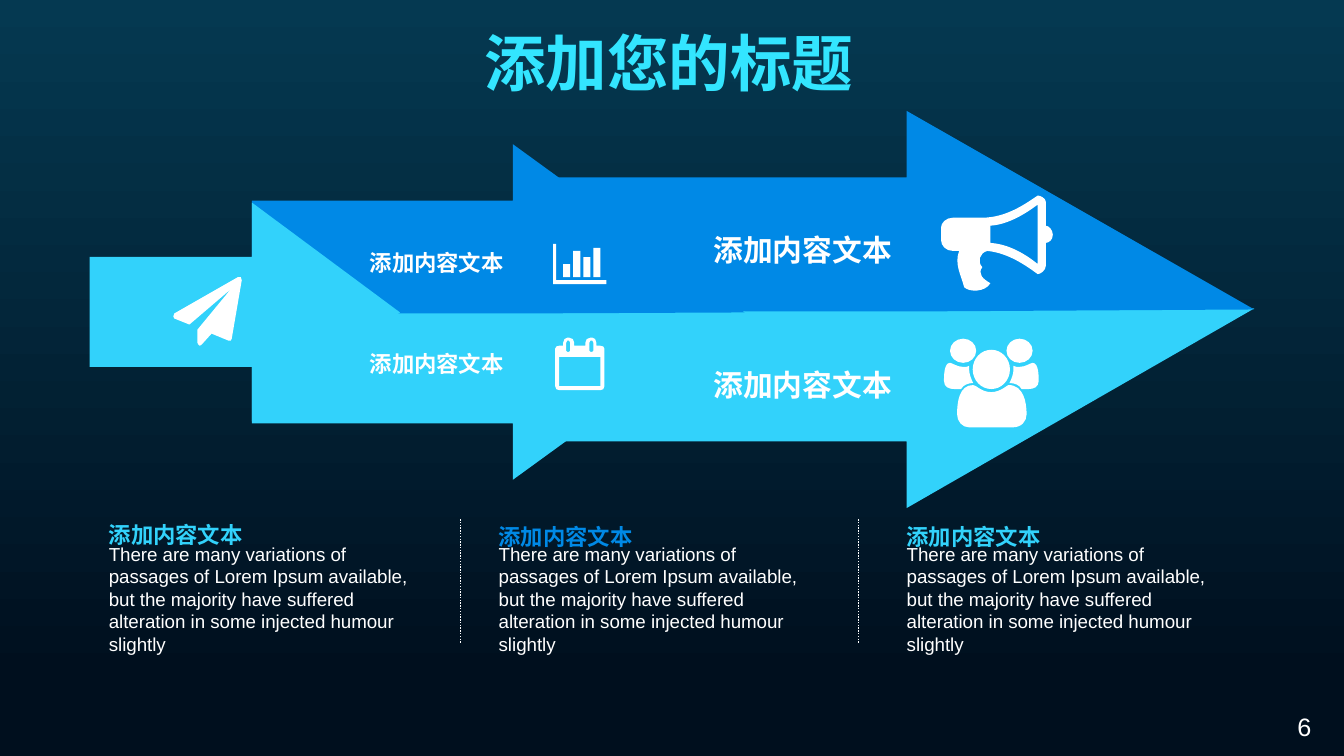
"""Build a one-slide deck with nested arrows, icons and three text columns."""
from dataclasses import dataclass

from lxml.etree import SubElement
from pptx import Presentation
from pptx.dml.color import RGBColor
from pptx.enum.dml import MSO_LINE
from pptx.enum.shapes import MSO_CONNECTOR
from pptx.enum.text import MSO_ANCHOR, MSO_AUTO_SIZE, PP_ALIGN
from pptx.oxml.ns import qn
from pptx.util import Inches, Pt


@dataclass(frozen=True)
class Theme:
    font: str = "Arial"
    top: str = "053951"
    bottom: str = "000F1E"
    title: str = "33E5FF"
    cyan: str = "32D2FB"
    blue: str = "0089E6"
    white: str = "FFFFFF"
    title_size: float = 44
    large_size: float = 21.33
    label_size: float = 16
    body_size: float = 13.33
    number_size: float = 18


THEME = Theme()
WIDTH, HEIGHT = 13.34, 7.5
TITLE, PAGE_NUMBER = "添加您的标题", "6"
LABEL = "添加内容文本"
BODY = ("There are many variations of passages of Lorem Ipsum available, "
        "but the majority have suffered alteration in some injected humour slightly")
COLUMNS = [(1.08, 5.17, THEME.cyan), (4.95, 5.19, THEME.blue), (9, 5.19, THEME.cyan)]
DIVIDERS = [4.57, 8.52]
ARROW_LABELS = [(3.67, 3.47, 1.36, 0.27, THEME.label_size),
                (3.67, 2.47, 1.36, 0.27, THEME.label_size),
                (7.08, 3.64, 1.8, 0.36, THEME.large_size),
                (7.08, 2.3, 1.8, 0.36, THEME.large_size)]

# tail, neck and tip columns; spine, body, wing and tip rows
HALF_ARROWS = [(5.11, 9, 12.45, 3.05, 4.38, 5.04, 3.06, THEME.cyan),
               (5.11, 9, 12.45, 3.09, 1.76, 1.1, 3.07, THEME.blue),
               (2.5, 5.09, 7.39, 3.07, 4.2, 4.76, 3.09, THEME.cyan),
               (2.5, 5.09, 7.39, 3.11, 1.99, 1.43, 3.1, THEME.blue)]
SMALL_ARROW = [(0.89, 2.55), (2.5, 2.55), (2.5, 2.01), (3.97, 3.1),
               (2.5, 4.18), (2.5, 3.64), (0.89, 3.64)]


def bar(left, top, right, bottom):
    return [(left, top), (right, top), (right, bottom), (left, bottom)]


def ellipse(x, y, radius_x, radius_y):
    bend_x, bend_y = 0.55 * radius_x, 0.55 * radius_y
    left, right, top, bottom = x - radius_x, x + radius_x, y - radius_y, y + radius_y
    return [(right, y), (right, y + bend_y, x + bend_x, bottom, x, bottom),
            (x - bend_x, bottom, left, y + bend_y, left, y),
            (left, y - bend_y, x - bend_x, top, x, top),
            (x + bend_x, top, right, y - bend_y, right, y)]


def mirror(outline, width):
    return [tuple(width - value if index % 2 == 0 else value
                  for index, value in enumerate(node)) for node in outline]


def ring_slot(left):
    return [(left + x, y) for x, y in
            [(4, 5), (3, 3), (1, 3), (0, 5), (0, 13), (1, 14), (3, 14), (4, 13)]]


PLANE = [[(68, 3), (58, 61), (58, 62, 57, 62, 57, 63), (55, 63), (38, 56), (28, 67),
          (28, 67, 27, 68, 26, 68), (25, 67, 24, 66, 24, 65), (24, 52), (57, 12),
          (16, 47), (1, 41), (0, 40, 0, 40, 0, 39), (0, 38, 0, 37, 1, 36),
          (64, 0), (67, 0), (68, 1, 68, 2, 68, 3)]]
CALENDAR = [[(49, 48), (49, 51, 47, 52, 45, 52), (4, 52), (2, 52, 0, 51, 0, 48), (0, 11),
             (0, 9, 2, 8, 4, 8), (8, 8), (8, 5), (8, 2, 10, 0, 12, 0), (14, 0),
             (17, 0, 19, 2, 19, 5), (19, 8), (30, 8), (30, 5), (30, 2, 32, 0, 35, 0),
             (37, 0), (39, 0, 41, 2, 41, 5), (41, 8), (45, 8), (47, 8, 49, 9, 49, 11)],
            bar(4, 19, 45, 48), ring_slot(11), ring_slot(34)]
CHART = [[(0, 0), (3, 0), (3, 36), (53, 36), (53, 40), (0, 40)]]
CHART += [bar(10 + 10 * index, top, 17 + 10 * index, 33)
          for index, top in enumerate([20, 7, 13, 4])]
MEGAPHONE = [[(111, 39), (111, 44, 107, 47, 104, 47), (104, 70), (104, 74, 99, 78, 96, 78),
              (85, 70, 67, 57, 46, 55), (38, 57, 36, 66, 41, 71), (36, 78, 42, 83, 49, 87),
              (44, 96, 28, 96, 23, 91), (20, 79, 13, 68, 18, 55), (12, 55),
              (5, 55, 0, 50, 0, 44), (0, 32), (0, 27, 5, 22, 12, 22), (41, 22),
              (64, 22, 83, 9, 96, 0), (99, 0, 104, 3, 104, 6), (104, 30),
              (107, 30, 111, 34, 111, 39)],
             [(96, 9), (80, 21, 64, 29, 49, 30), (49, 47), (64, 48, 80, 55, 96, 68)]]
SHOULDER = [(17, 50), (10, 50), (5, 50, 0, 48, 0, 42), (0, 37, 0, 24, 6, 24),
            (8, 24, 13, 28, 19, 28), (22, 28, 23, 28, 25, 27), (25, 28, 25, 29, 25, 31),
            (25, 35, 27, 40, 29, 44), (24, 44, 19, 46, 17, 50)]
CHEST = [(68, 88), (25, 88), (18, 88, 13, 82, 13, 75), (13, 63, 15, 46, 29, 46),
         (32, 46, 37, 53, 47, 53), (56, 53, 63, 46, 64, 46), (79, 46, 82, 63, 82, 75),
         (82, 82, 77, 88, 68, 88)]
PEOPLE = [SHOULDER, mirror(SHOULDER, 94), CHEST, ellipse(47, 30.5, 18.5, 19.5),
          ellipse(19, 12, 13, 12), ellipse(75, 12, 13, 12)]
ICONS = [(1.72, 2.75, PLANE), (5.51, 3.35, CALENDAR), (5.49, 2.42, CHART),
         (9.34, 1.94, MEGAPHONE), (9.37, 3.36, PEOPLE)]


def bend_curves(shape, outlines):
    path = next(shape._element.iter(qn("a:path")))
    steps = iter(list(path))
    for outline in outlines:
        for node in outline:
            step = next(steps)
            if len(node) == 6:
                curve = path.makeelement(qn("a:cubicBezTo"))
                step.addprevious(curve)
                for segment in (step, next(steps), next(steps)):
                    curve.append(segment[0])
                    path.remove(segment)
        next(steps)


def draw(page, outlines, color, left=0, top=0, unit=1):
    contours = [[(Inches(left + node[i] * unit), Inches(top + node[i + 1] * unit))
                 for node in outline for i in range(0, len(node), 2)] for outline in outlines]
    builder = page.shapes.build_freeform(*contours[0][0])
    for index, points in enumerate(contours):
        if index:
            builder.move_to(*points[0])
        builder.add_line_segments(points[1:], close=True)
    shape = builder.convert_to_shape()
    bend_curves(shape, outlines)
    shape.shadow.inherit = False
    shape.fill.solid()
    shape.fill.fore_color.rgb = RGBColor.from_string(color)
    shape.line.fill.background()


def write(box, text, size, color=THEME.white, bold=False, align=PP_ALIGN.LEFT,
          anchor=MSO_ANCHOR.TOP, wrap=True, inset=True):
    frame = box.text_frame
    frame.word_wrap = wrap
    frame.auto_size = MSO_AUTO_SIZE.SHAPE_TO_FIT_TEXT
    frame.vertical_anchor = anchor
    if not inset:
        frame.margin_left = frame.margin_top = frame.margin_right = frame.margin_bottom = 0
    para = frame.paragraphs[0]
    para.alignment = align
    span = para.add_run()
    span.text = text
    span.font.name, span.font.size, span.font.bold = THEME.font, Pt(size), bold
    span.font.color.rgb = RGBColor.from_string(color)


def text_box(page, area, text, size, **style):
    write(page.shapes.add_textbox(*map(Inches, area)), text, size, **style)


def main():
    deck = Presentation()
    deck.slide_width, deck.slide_height = Inches(WIDTH), Inches(HEIGHT)
    page = deck.slides.add_slide(deck.slide_layouts[5])
    backdrop = page.background.fill
    backdrop.gradient()
    backdrop.gradient_angle = 270
    for stop, color, position in zip(backdrop.gradient_stops, (THEME.top, THEME.bottom), (0, 0.9)):
        stop.color.rgb, stop.position = RGBColor.from_string(color), position

    title = page.shapes.title
    title.left, title.top, title.width, title.height = map(Inches, (2.78, 0.2, 7.72, 0.84))
    write(title, TITLE, THEME.title_size, color=THEME.title, bold=True, align=PP_ALIGN.CENTER)
    text_box(page, (12.78, 7.01, 0.56, 0.4), PAGE_NUMBER, THEME.number_size)

    for tail, neck, tip, spine, body, wing, tip_row, color in HALF_ARROWS:
        draw(page, [[(neck, spine), (tail, spine), (tail, body), (neck, body),
                     (neck, wing), (tip, tip_row)]], color)
    draw(page, [SMALL_ARROW], THEME.cyan)
    for left, top, outlines in ICONS:
        draw(page, outlines, THEME.white, left, top, unit=0.01)
    for *area, size in ARROW_LABELS:
        text_box(page, area, LABEL, size, bold=True, wrap=False, inset=False)

    for left, top, color in COLUMNS:
        text_box(page, (left, top, 1.36, 0.27), LABEL, THEME.label_size, color=color,
                 bold=True, anchor=MSO_ANCHOR.MIDDLE, wrap=False, inset=False)
        text_box(page, (left, 5.38, 3.19, 1.12), BODY, THEME.body_size,
                 anchor=MSO_ANCHOR.MIDDLE, inset=False)
    for x in DIVIDERS:
        divider = page.shapes.add_connector(MSO_CONNECTOR.STRAIGHT, *map(Inches, (x, 5.15, x, 6.39)))
        divider.line.color.rgb = RGBColor.from_string(THEME.white)
        divider.line.width, divider.line.dash_style = Pt(1), MSO_LINE.ROUND_DOT
        SubElement(divider._element.spPr, qn("a:effectLst"))
    deck.save("out.pptx")


if __name__ == "__main__":
    main()
